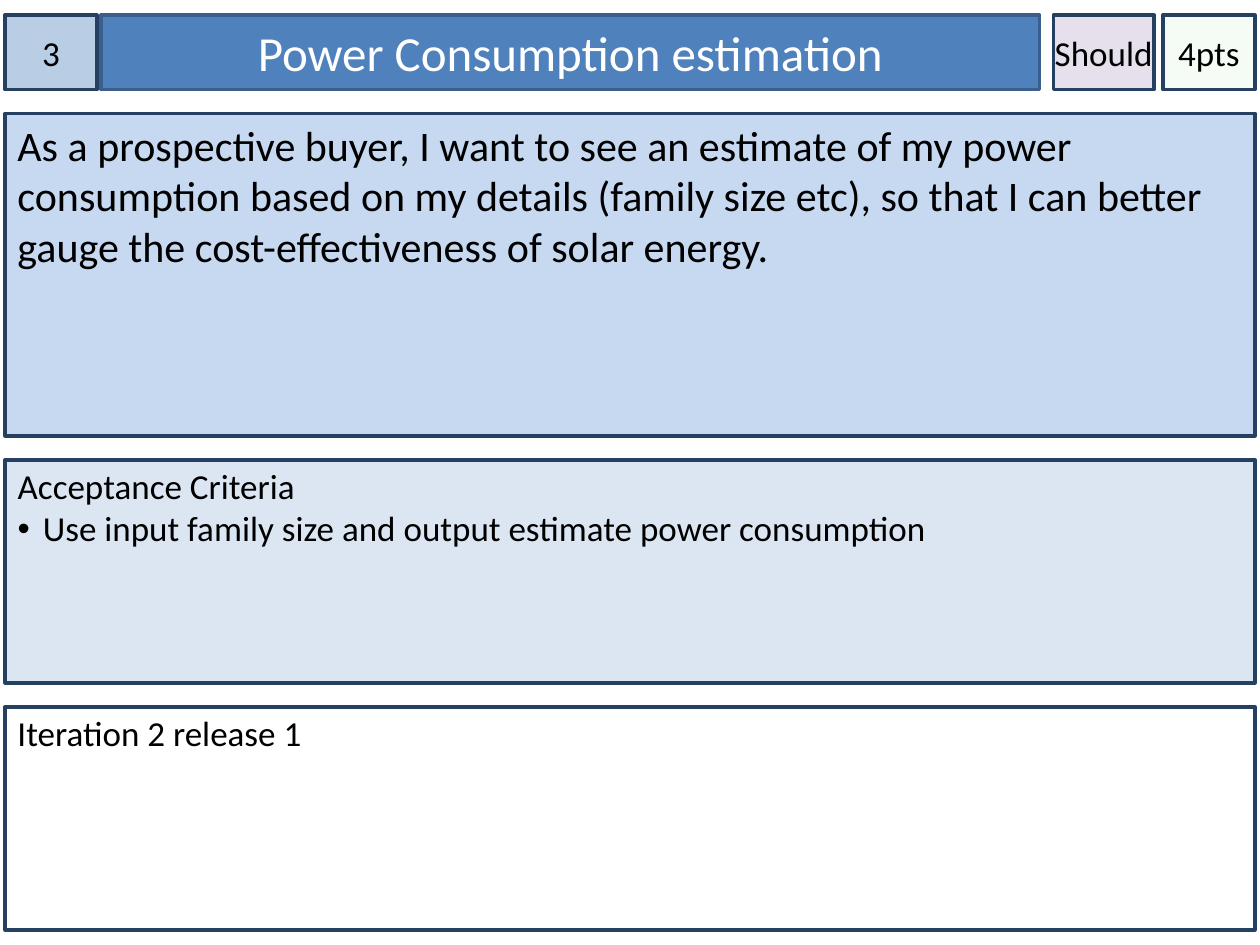
from dataclasses import dataclass

from lxml.etree import SubElement
from pptx import Presentation
from pptx.dml.color import RGBColor
from pptx.enum.shapes import MSO_SHAPE as Shape
from pptx.enum.text import MSO_ANCHOR as Anchor, MSO_AUTO_SIZE as AutoSize, PP_ALIGN as Align
from pptx.oxml.ns import qn
from pptx.util import Inches, Pt


@dataclass(frozen=True)
class Theme:
    """Colours, font and type sizes of the story card."""
    font: str = "Calibri"
    ink: str = "000000"
    paper: str = "FFFFFF"
    border: str = "254061"
    title_fill: str = "4F81BD"
    title_border: str = "3A5F8C"
    number_fill: str = "B9CDE5"
    priority_fill: str = "E6E0EC"
    points_fill: str = "CCF0CD"
    story_fill: str = "C6D9F1"
    criteria_fill: str = "DCE6F2"
    title_size: int = 28
    story_size: int = 24
    text_size: int = 20
    line_width: int = 2


THEME = Theme()
LEFT, WIDTH = 0.04, 9.92
HEAD_TOP, HEAD_HEIGHT = 0.12, 0.59
BADGE_WIDTH = 0.73
PANEL_HEIGHT = 1.77
BADGE_INSETS = (0, 0.05, 0, 0.05)
PANEL_INSETS = (0.1, 0.04, 0.1, 0.05)


def write(para, text, size=THEME.text_size, color=THEME.ink, align=Align.LEFT, bullet=None, indent=0.2):
    """Fill a paragraph with formatted text and an optional hanging bullet."""
    para.alignment = align
    para.space_before = Pt(0)
    span = para.add_run()
    span.text = text
    span.font.name = THEME.font
    span.font.size = Pt(size)
    span.font.color.rgb = RGBColor.from_string(color)
    props = para._p.get_or_add_pPr()
    hang = Inches(indent) if bullet else 0
    props.set("marL", str(hang))
    props.set("indent", str(-hang))
    if bullet:
        SubElement(props, qn("a:buFont"), typeface="Arial")
        SubElement(props, qn("a:buChar"), char=bullet)
    else:
        SubElement(props, qn("a:buNone"))


class StoryCard:
    """Holds the theme and the current slide, and draws the card's parts."""

    def __init__(self, deck, theme):
        """Start a page on the title and content layout."""
        self.theme = theme
        self.page = deck.slides.add_slide(deck.slide_layouts[1])

    def dress(self, box, at, fill, border=None, insets=(0.1, 0.05, 0.1, 0.05), anchor=Anchor.TOP, wrap=True):
        """Place a box and set its fill, border and text frame."""
        box.left, box.top, box.width, box.height = map(Inches, at)
        box.fill.solid()
        box.fill.fore_color.rgb = RGBColor.from_string(fill)
        box.line.color.rgb = RGBColor.from_string(border or self.theme.border)
        box.line.width = Pt(self.theme.line_width)
        frame = box.text_frame
        frame.auto_size = AutoSize.NONE
        frame.word_wrap = wrap
        frame.vertical_anchor = anchor
        frame.margin_left, frame.margin_top, frame.margin_right, frame.margin_bottom = map(Inches, insets)
        return frame

    def rectangle(self, at, fill, **style):
        """Add a shadowless rectangle and return its text frame."""
        box = self.page.shapes.add_shape(Shape.RECTANGLE, *map(Inches, at))
        box.shadow.inherit = False
        return self.dress(box, at, fill, **style)

    def title(self, text, left, width):
        """Format the title placeholder as the header bar."""
        frame = self.dress(self.page.shapes.title, (left, HEAD_TOP, width, HEAD_HEIGHT),
                           self.theme.title_fill, border=self.theme.title_border, anchor=Anchor.MIDDLE)
        write(frame.paragraphs[0], text, size=self.theme.title_size, color=self.theme.paper, align=Align.CENTER)

    def badge(self, text, left, fill, width=BADGE_WIDTH, alpha=None, wrap=True):
        """Add a small centred header box, translucent when alpha is given."""
        frame = self.rectangle((left, HEAD_TOP, width, HEAD_HEIGHT), fill,
                               insets=BADGE_INSETS, anchor=Anchor.MIDDLE, wrap=wrap)
        write(frame.paragraphs[0], text, align=Align.CENTER)
        if alpha is not None:
            color = frame._parent._element.spPr.find(qn("a:solidFill")).find(qn("a:srgbClr"))
            SubElement(color, qn("a:alpha"), val=str(alpha * 1000))

    def panel(self, text, top, height, fill, size, **style):
        """Add a full-width text panel."""
        frame = self.rectangle((LEFT, top, WIDTH, height), fill, **style)
        write(frame.paragraphs[0], text, size=size)

    def criteria(self, heading, items, top):
        """Format the body placeholder as a headed bullet list."""
        frame = self.dress(self.page.placeholders[1], (LEFT, top, WIDTH, PANEL_HEIGHT),
                           self.theme.criteria_fill, insets=PANEL_INSETS)
        write(frame.paragraphs[0], heading)
        for item in items:
            write(frame.add_paragraph(), item, bullet="•")


def main():
    """Build the story card and save it."""
    deck = Presentation()
    deck.slide_width, deck.slide_height = Inches(10), Inches(7.5)
    card = StoryCard(deck, THEME)
    card.badge("3", LEFT, THEME.number_fill)
    card.title("Power Consumption estimation", 0.8, 7.45)
    card.badge("Should", 8.36, THEME.priority_fill, width=0.8, wrap=False)
    card.badge("4pts", LEFT + WIDTH - BADGE_WIDTH, THEME.points_fill, alpha=20)
    card.panel("As a prospective buyer, I want to see an estimate of my power consumption based on my details "
               "(family size etc), so that I can better gauge the cost-effectiveness of solar energy.",
               0.9, 2.56, THEME.story_fill, THEME.story_size)
    card.criteria("Acceptance Criteria", ["Use input family size and output estimate power consumption"], 3.65)
    card.panel("Iteration 2 release 1", 5.61, PANEL_HEIGHT, THEME.paper, THEME.text_size, insets=PANEL_INSETS)
    deck.save("out.pptx")


if __name__ == "__main__":
    main()
